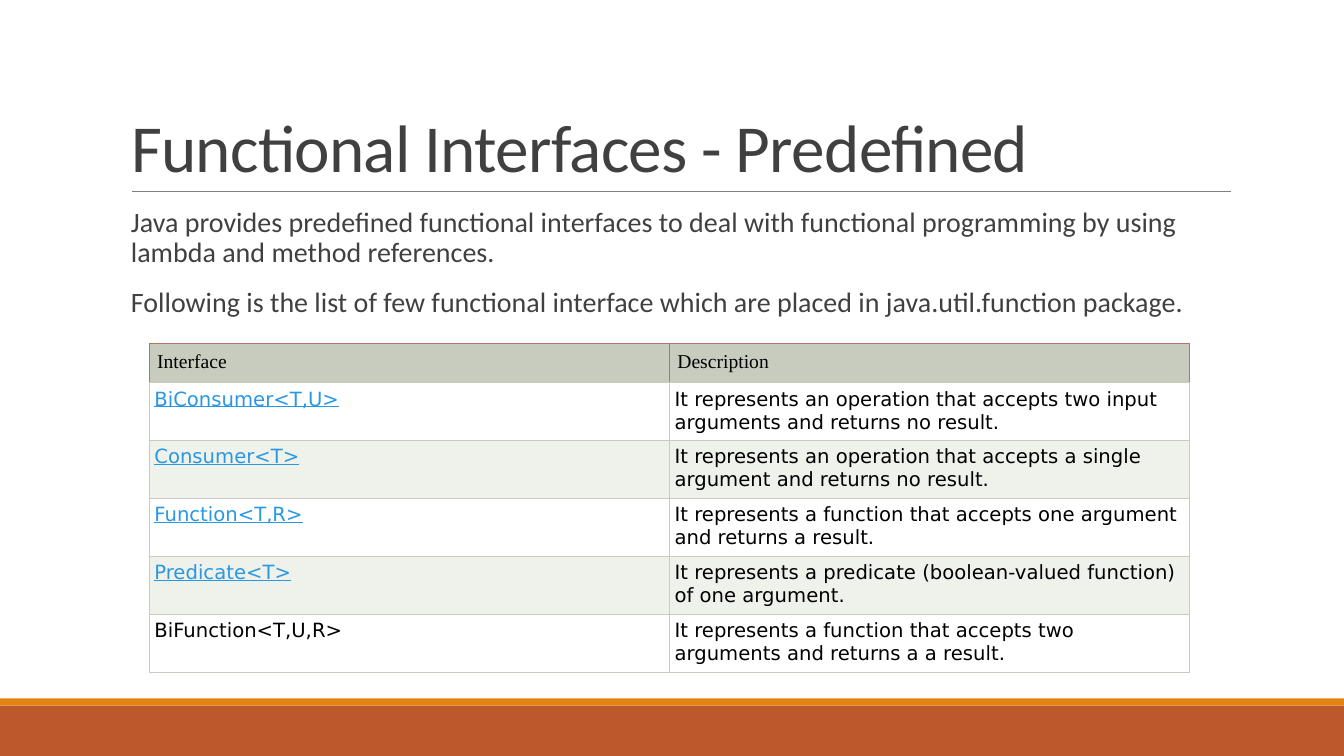
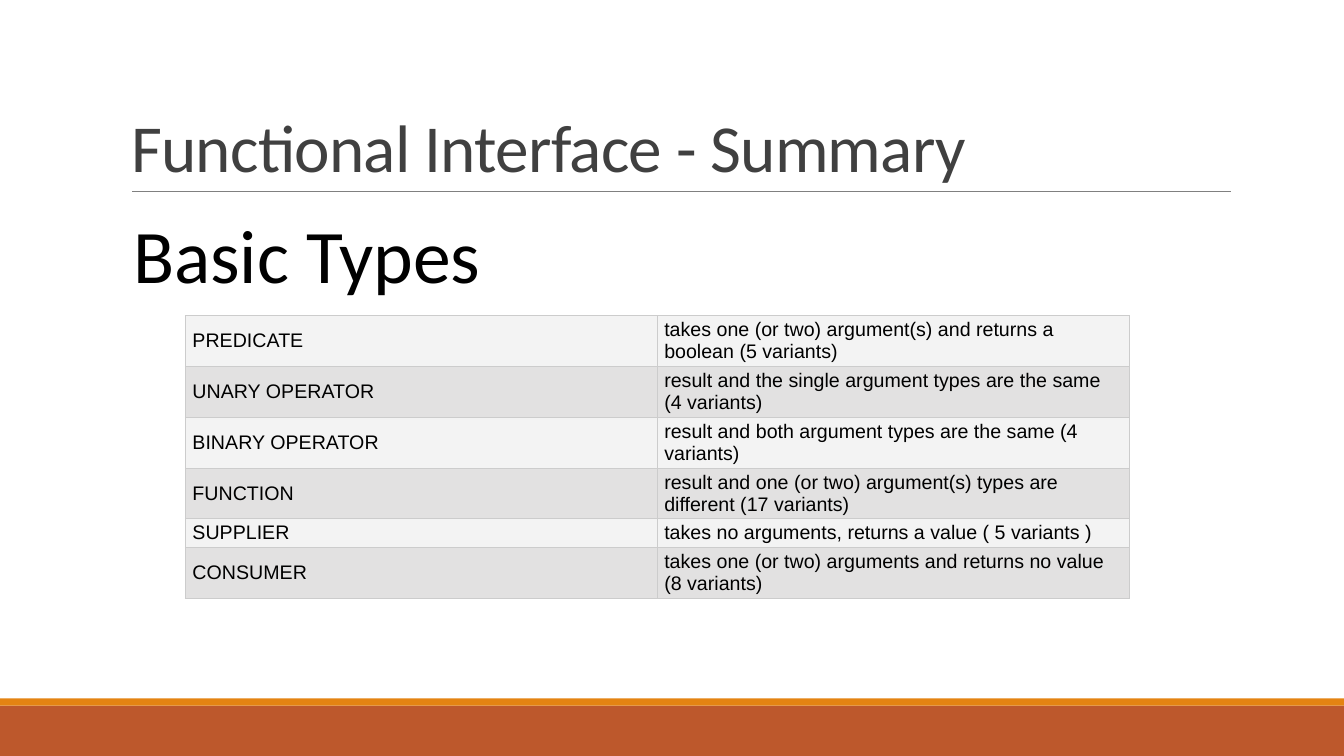
import pptx
import pptx.util
from lxml import etree
from pptx.dml.color import RGBColor
from pptx.enum.shapes import MSO_CONNECTOR, MSO_SHAPE
from pptx.enum.text import MSO_ANCHOR, MSO_AUTO_SIZE, PP_ALIGN
from pptx.oxml.ns import qn
from pptx.util import Cm, Pt

COLORS = {
    "rust": "BD582C",
    "orange": "E48312",
    "rule": "808080",
    "text": "404040",
    "black": "000000",
    "link": "2998E3",
    "sage": "C7CCBE",
    "pale_sage": "EFF1EB",
    "white": "FFFFFF",
    "header_edge": "B8745E",
    "grid": "CCCCCC",
    "light": "F3F3F3",
    "medium": "E2E1E1",
}
SLIDE_W, SLIDE_H = 33.87, 19.05
LEFT, CONTENT_W = 3.05, 27.94
RULE_Y = 4.83
BANDS = [("rust", 17.78, 1.27), ("orange", 17.6, 0.18)]

PREDEFINED_TITLE = "Functional Interfaces - Predefined"
INTRO = [
    "Java provides predefined functional interfaces to deal with functional "
    "programming by using lambda and method references.",
    "Following is the list of few functional interface which are placed in "
    "java.util.function package.",
]
INTERFACES = [
    ("Interface", "Description"),
    ("BiConsumer<T,U>", "It represents an operation that accepts two input "
                        "arguments and returns no result."),
    ("Consumer<T>", "It represents an operation that accepts a single "
                    "argument and returns no result."),
    ("Function<T,R>", "It represents a function that accepts one argument "
                      "and returns a result."),
    ("Predicate<T>", "It represents a predicate (boolean-valued function) "
                     "of one argument."),
    ("BiFunction<T,U,R>", "It represents a function that accepts two "
                          "arguments and returns a a result."),
]
LINKED = {"BiConsumer<T,U>", "Consumer<T>", "Function<T,R>", "Predicate<T>"}

SUMMARY_TITLE = "Functional Interface - Summary"
SUMMARY_HEADING = "Basic Types"
BASIC_TYPES = [
    ("PREDICATE", "takes one (or two) argument(s) and returns a boolean (5 variants)"),
    ("UNARY OPERATOR", "result and the single argument types are the same (4 variants)"),
    ("BINARY OPERATOR", "result and both argument types are the same (4 variants)"),
    ("FUNCTION", "result and one (or two) argument(s) types are different (17 variants)"),
    ("SUPPLIER", "takes no arguments, returns a value ( 5 variants )"),
    ("CONSUMER", "takes one (or two) arguments and returns no value (8 variants)"),
]


def rgb(name):
    return RGBColor.from_string(COLORS[name])


def format_runs(paragraph, size, font, color):
    for run in paragraph.runs:
        run.font.size = Pt(size)
        run.font.name = font
        run.font.color.rgb = rgb(color)


def decorate_layout(layout, slide):
    """Draw the rule and bands on the slide, then move them to its layout."""
    rule = slide.shapes.add_connector(
        MSO_CONNECTOR.STRAIGHT, Cm(3.33), Cm(RULE_Y), Cm(31.01), Cm(RULE_Y))
    rule.line.color.rgb = rgb("rule")
    rule.line.width = Pt(0.5)
    etree.SubElement(rule.element.spPr, qn("a:effectLst"))
    layout.shapes.element.append(rule.element)
    for color, top, height in BANDS:
        band = slide.shapes.add_shape(
            MSO_SHAPE.RECTANGLE, 0, Cm(top), Cm(SLIDE_W), Cm(height))
        band.shadow.inherit = False
        band.fill.solid()
        band.fill.fore_color.rgb = rgb(color)
        band.line.fill.background()
        layout.shapes.element.append(band.element)


def set_title(slide, text):
    title = slide.shapes.title
    title.left, title.top = Cm(LEFT), Cm(0.79)
    title.width, title.height = Cm(CONTENT_W), Cm(RULE_Y - 0.79)
    frame = title.text_frame
    frame.text = text
    frame.word_wrap = True
    frame.auto_size = MSO_AUTO_SIZE.NONE
    frame.vertical_anchor = MSO_ANCHOR.BOTTOM
    heading = frame.paragraphs[0]
    heading.alignment = PP_ALIGN.LEFT
    heading.line_spacing = 0.85
    format_runs(heading, 48, "Calibri", "text")
    for run in heading.runs:
        run.font._element.set("spc", "-50")


def set_borders(cell, colors):
    """Give a cell its left, right, top and bottom border colours."""
    properties = cell._tc.get_or_add_tcPr()
    for index, (side, color) in enumerate(zip("LRTB", colors)):
        border = etree.Element(qn(f"a:ln{side}"), w=str(Pt(0.6)))
        fill = etree.SubElement(border, qn("a:solidFill"))
        etree.SubElement(fill, qn("a:srgbClr"), val=COLORS[color])
        properties.insert(index, border)


def add_grid(slide, rows, left, top, column_w, row_heights):
    """Add a two-column table holding the rows, with no style banding."""
    table = slide.shapes.add_table(
        len(rows), 2, Cm(left), Cm(top), Cm(2 * column_w), Cm(sum(row_heights))).table
    table.first_row = table.horz_banding = False
    for column in table.columns:
        column.width = Cm(column_w)
    for row, height, texts in zip(table.rows, row_heights, rows):
        row.height = Cm(height)
        for cell, text in zip(row.cells, texts):
            cell.text = text
    return table


def style_cell(cell, fill, font, margins, borders, color="black"):
    cell.fill.solid()
    cell.fill.fore_color.rgb = rgb(fill)
    cell.margin_left = cell.margin_right = Cm(margins[0])
    cell.margin_top = cell.margin_bottom = Cm(margins[1])
    format_runs(cell.text_frame.paragraphs[0], 14, font, color)
    set_borders(cell, borders)


def build_predefined(slide):
    set_title(slide, PREDEFINED_TITLE)
    intro = slide.shapes.add_textbox(
        Cm(LEFT), Cm(5.13), Cm(CONTENT_W), Cm(3.2)).text_frame
    intro.word_wrap = True
    intro.text = "\n".join(INTRO)
    for paragraph in intro.paragraphs:
        paragraph.line_spacing = 0.9
        paragraph.space_before, paragraph.space_after = Pt(12), Pt(2)
        format_runs(paragraph, 20, "Calibri", "text")

    heights = [1] + [1.46] * (len(INTERFACES) - 1)
    table = add_grid(slide, INTERFACES, 3.76, 8.64, 13.11, heights)
    for index, row in enumerate(table.rows):
        for cell in row.cells:
            if index == 0:
                style_cell(cell, "sage", "Times New Roman", (0.2, 0.2),
                           ["header_edge"] * 3 + ["sage"])
                continue
            linked = cell.text in LINKED
            style_cell(cell, "white" if index % 2 else "pale_sage", "DejaVu Sans",
                       (0.13, 0.13), ["sage"] * 4, "link" if linked else "black")
            if linked:
                cell.text_frame.paragraphs[0].runs[0].font.underline = True


def build_summary(slide):
    set_title(slide, SUMMARY_TITLE)
    heights = [0.73 if name == "SUPPLIER" else 1.28 for name, _ in BASIC_TYPES]
    table = add_grid(slide, BASIC_TYPES, 4.67, 7.95, 11.89, heights)
    for index, row in enumerate(table.rows):
        for cell in row.cells:
            style_cell(cell, "medium" if index % 2 else "light", "Arial",
                       (0.18, 0.08), ["grid"] * 4)
            cell.vertical_anchor = MSO_ANCHOR.MIDDLE

    heading = slide.shapes.add_textbox(
        Cm(LEFT), Cm(5.11), Cm(9.37), Cm(2.57)).text_frame
    heading.word_wrap = False
    heading.auto_size = MSO_AUTO_SIZE.SHAPE_TO_FIT_TEXT
    heading.text = SUMMARY_HEADING
    heading.paragraphs[0].alignment = PP_ALIGN.CENTER
    format_runs(heading.paragraphs[0], 54, "Calibri", "black")


def main():
    deck = pptx.Presentation()
    deck.slide_width, deck.slide_height = Cm(SLIDE_W), Cm(SLIDE_H)
    layout = deck.slide_layouts.get_by_name("Title Only")
    slides = [deck.slides.add_slide(layout) for _ in range(2)]
    decorate_layout(layout, slides[0])
    build_predefined(slides[0])
    build_summary(slides[1])
    deck.save("out.pptx")


if __name__ == "__main__":
    main()
